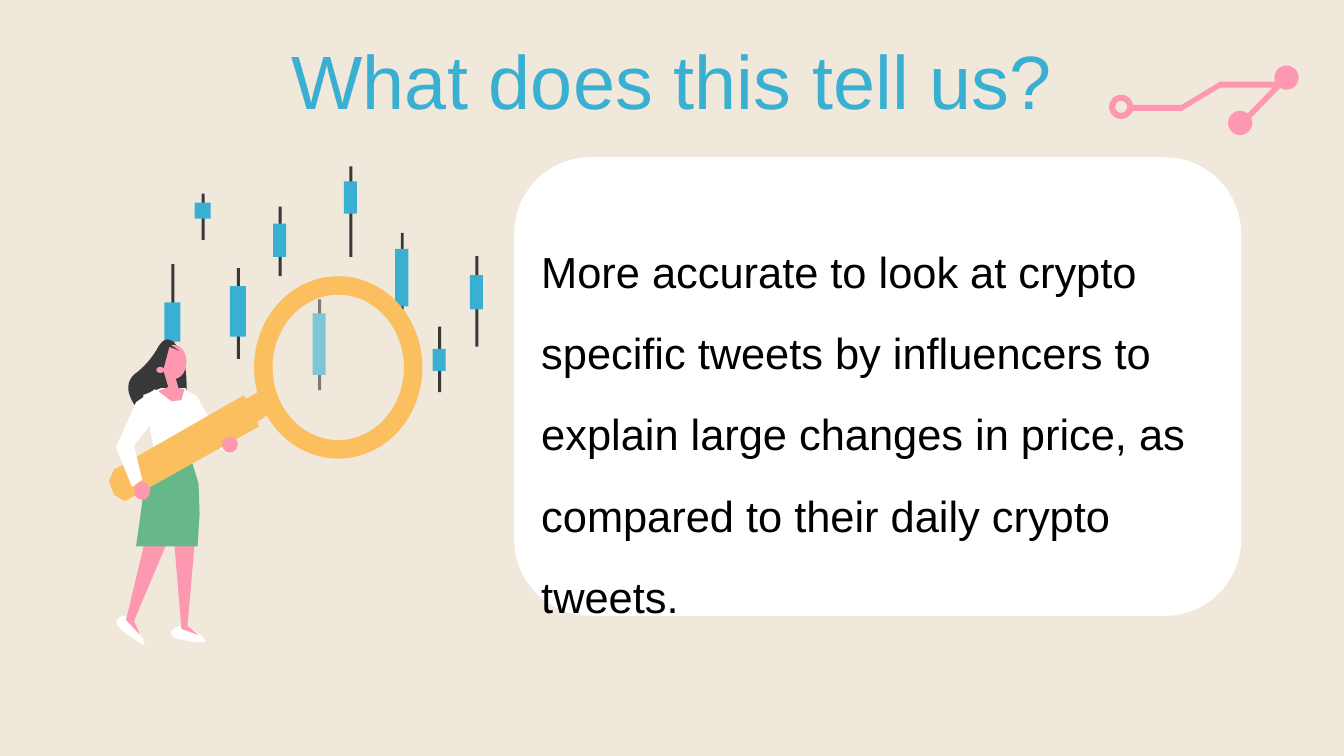
from lxml import etree
from pptx import Presentation
from pptx.dml.color import RGBColor
from pptx.enum.shapes import MSO_SHAPE as Kind
from pptx.enum.text import MSO_ANCHOR as Anchor, MSO_AUTO_SIZE as Auto, PP_ALIGN as Align
from pptx.oxml.ns import qn
from pptx.util import Inches, Pt

SAND, BLUE, PINK, WHITE = "F1E8DC", "39B0D1", "FE98B0", "FFFFFF"
DARK, GREEN, GOLD, BLACK = "383838", "66B888", "FBBF60", "000000"


def paint(item, color):
    item.fill.solid()
    item.fill.fore_color.rgb = RGBColor.from_string(color)


def finish(shape, color):
    shape.shadow.inherit = False
    paint(shape, color)
    shape.line.fill.background()
    return shape


def add_form(slide, kind, color, left, top, width, height):
    box = map(Inches, (left, top, width, height))
    return finish(slide.shapes.add_shape(kind, *box), color)


def add_ring(slide, color, ratio, *box):
    add_form(slide, Kind.DONUT, color, *box).adjustments[0] = ratio


def soften(points):
    for (ax, ay), (bx, by) in zip(points, points[1:] + points[:1]):
        yield (3 * ax + bx) / 4, (3 * ay + by) / 4
        yield (ax + 3 * bx) / 4, (ay + 3 * by) / 4


def add_outline(slide, color, points, rounds=0):
    for _ in range(rounds):
        points = list(soften(points))
    spots = [(Inches(x), Inches(y)) for x, y in points]
    pen = slide.shapes.build_freeform(*spots[0])
    pen.add_line_segments(spots[1:], close=True)
    finish(pen.convert_to_shape(), color)


def add_band(slide, edge, depth):
    lower = [(x, y + depth) for x, y in reversed(edge)]
    add_outline(slide, PINK, edge + lower)


def add_candle(slide, left, top, height, tip, reach=0.9, width=0.13):
    add_form(slide, Kind.RECTANGLE, DARK, left + width / 2 - 0.01, tip, 0.03, reach)
    add_form(slide, Kind.RECTANGLE, BLUE, left, top, width, height)


def add_chart_art(slide):
    add_candle(slide, 3.41, 1.8, 0.32, 1.65)
    add_candle(slide, 1.93, 2.01, 0.16, 1.92, 0.46, 0.16)
    add_candle(slide, 4.29, 3.46, 0.22, 3.24, 0.65)
    add_candle(slide, 3.92, 2.47, 0.57, 2.31)
    add_candle(slide, 3.1, 3.11, 0.61, 2.97)
    add_candle(slide, 2.71, 2.22, 0.33, 2.05, 0.69)
    add_candle(slide, 2.28, 2.84, 0.5, 2.66, width=0.16)
    add_candle(slide, 4.66, 2.73, 0.34, 2.54)
    add_candle(slide, 1.63, 3, 0.39, 2.62, width=0.16)


def add_legs(slide):
    add_outline(slide, WHITE, [(1.8, 6.17), (2.08, 6.36), (1.95, 6.38), (1.65, 6.31)], 2)
    add_outline(slide, WHITE, [(1.26, 6.07), (1.46, 6.41), (1.38, 6.38), (1.11, 6.18)], 2)
    add_outline(slide, PINK, [(1.73, 5.4), (1.93, 5.4), (1.86, 6.21), (1.97, 6.3),
                              (1.8, 6.24)])
    add_outline(slide, PINK, [(1.43, 5.4), (1.65, 5.4), (1.33, 6.16), (1.39, 6.3),
                              (1.25, 6.15)])


def add_trunk(slide):
    add_outline(slide, GREEN, [(1.53, 4.58), (1.91, 4.6), (1.97, 4.8), (1.98, 5.1),
                               (1.96, 5.42), (1.35, 5.42), (1.42, 4.92)])
    add_outline(slide, WHITE, [(1.79, 3.84), (1.95, 3.93), (2.18, 4.33), (2.25, 4.48),
                               (2, 4.36)])
    add_outline(slide, DARK, [(1.65, 3.3), (1.85, 3.55), (1.85, 4.1), (1.4, 4.15),
                              (1.22, 3.8), (1.48, 3.6)], 3)
    add_outline(slide, WHITE, [(1.6, 3.85), (1.84, 3.85), (1.94, 4.1), (1.91, 4.6),
                               (1.56, 4.62), (1.42, 3.92)])


def add_head(slide):
    add_outline(slide, PINK, [(1.61, 3.64), (1.72, 3.67), (1.77, 3.85), (1.83, 3.86),
                              (1.8, 3.97), (1.7, 3.98), (1.57, 3.88), (1.67, 3.84)])
    add_form(slide, Kind.OVAL, PINK, 1.6, 3.42, 0.25, 0.34)
    add_outline(slide, DARK, [(1.66, 3.4), (1.78, 3.48), (1.68, 3.44), (1.62, 3.67),
                              (1.55, 3.62)])
    add_form(slide, Kind.OVAL, PINK, 1.55, 3.64, 0.08, 0.06)


def add_glass(slide):
    add_outline(slide, GOLD, [(2.56, 3.89), (2.68, 4.1), (2.5, 4.22), (2.4, 3.98)])
    add_outline(slide, GOLD, [(2.42, 3.92), (2.57, 4.23), (1.24, 4.97), (1.13, 4.91),
                              (1.08, 4.77), (1.13, 4.66)])
    lens = add_form(slide, Kind.OVAL, SAND, 2.56, 2.8, 1.58, 1.69)
    tint = next(lens._element.spPr.iter(qn("a:srgbClr")))
    etree.SubElement(tint, qn("a:alpha")).set("val", "38000")
    add_ring(slide, GOLD, 0.11, 2.52, 2.74, 1.67, 1.81)


def add_hands(slide):
    add_form(slide, Kind.OVAL, PINK, 2.2, 4.33, 0.16, 0.16)
    add_form(slide, Kind.OVAL, PINK, 1.33, 4.78, 0.16, 0.18)
    add_outline(slide, WHITE, [(1.54, 3.86), (1.59, 4.09), (1.33, 4.42), (1.41, 4.76),
                               (1.31, 4.83), (1.15, 4.44), (1.35, 3.99)])


def add_trace(slide):
    add_band(slide, [(11.2, 1.04), (11.72, 1.04), (12.1, 0.81), (12.69, 0.81)], 0.06)
    add_ring(slide, PINK, 0.25, 11, 0.94, 0.24, 0.24)
    for left, top in ((12.18, 1.1), (12.64, 0.65)):
        add_form(slide, Kind.OVAL, PINK, left, top, 0.24, 0.24)
    add_band(slide, [(12.36, 1.14), (12.71, 0.78)], 0.08)


def set_text(shape, text, size, color, align):
    frame = shape.text_frame
    frame.text = text
    frame.word_wrap = True
    frame.auto_size = Auto.NONE
    frame.vertical_anchor = Anchor.TOP
    line = frame.paragraphs[0]
    line.alignment = align
    font = line.runs[0].font
    font.name, font.size = "Arial", Pt(size)
    font.color.rgb = RGBColor.from_string(color)
    return frame


def add_title(slide, text):
    title = slide.shapes.title
    title.left, title.top = Inches(1.04), Inches(0.17)
    title.width, title.height = Inches(11.25), Inches(0.84)
    frame = set_text(title, text, 54, BLUE, Align.CENTER)
    frame.margin_top = Inches(0.17)


def add_body(slide, text):
    box = slide.shapes.add_textbox(*map(Inches, (5.27, 2.09, 6.87, 3.97)))
    frame = set_text(box, text, 31, BLACK, Align.LEFT)
    frame.paragraphs[0].line_spacing = 1.56


def main():
    deck = Presentation()
    deck.slide_width, deck.slide_height = Inches(13.33), Inches(7.5)
    slide = deck.slides.add_slide(deck.slide_layouts[5])
    paint(slide.background, SAND)
    add_trace(slide)
    add_form(slide, Kind.ROUNDED_RECTANGLE, WHITE, 5.1, 1.56, 7.21, 4.55)
    add_title(slide, "What does this tell us?")
    for draw in (add_chart_art, add_legs, add_trunk, add_head, add_glass, add_hands):
        draw(slide)
    add_body(slide, "More accurate to look at crypto specific tweets by influencers to explain "
                    "large changes in price, as compared to their daily crypto tweets.")
    deck.save("out.pptx")


if __name__ == "__main__":
    main()
